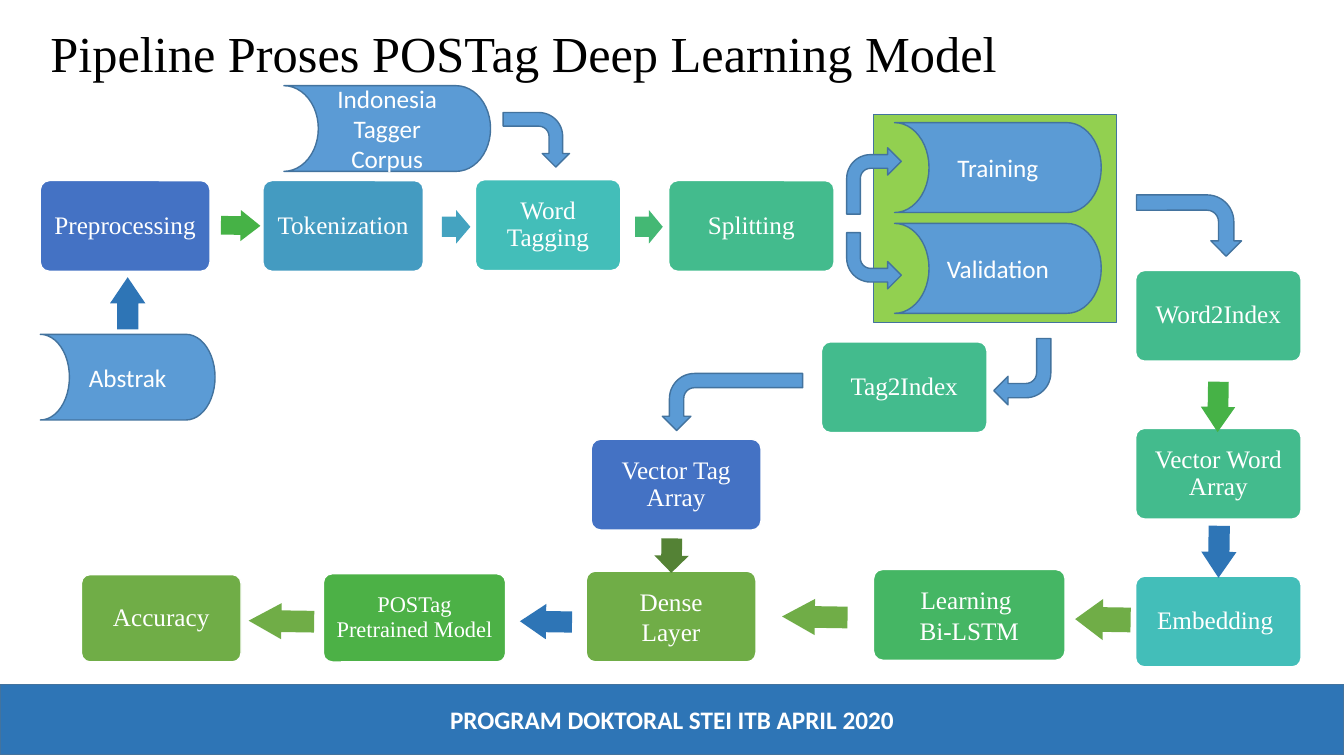
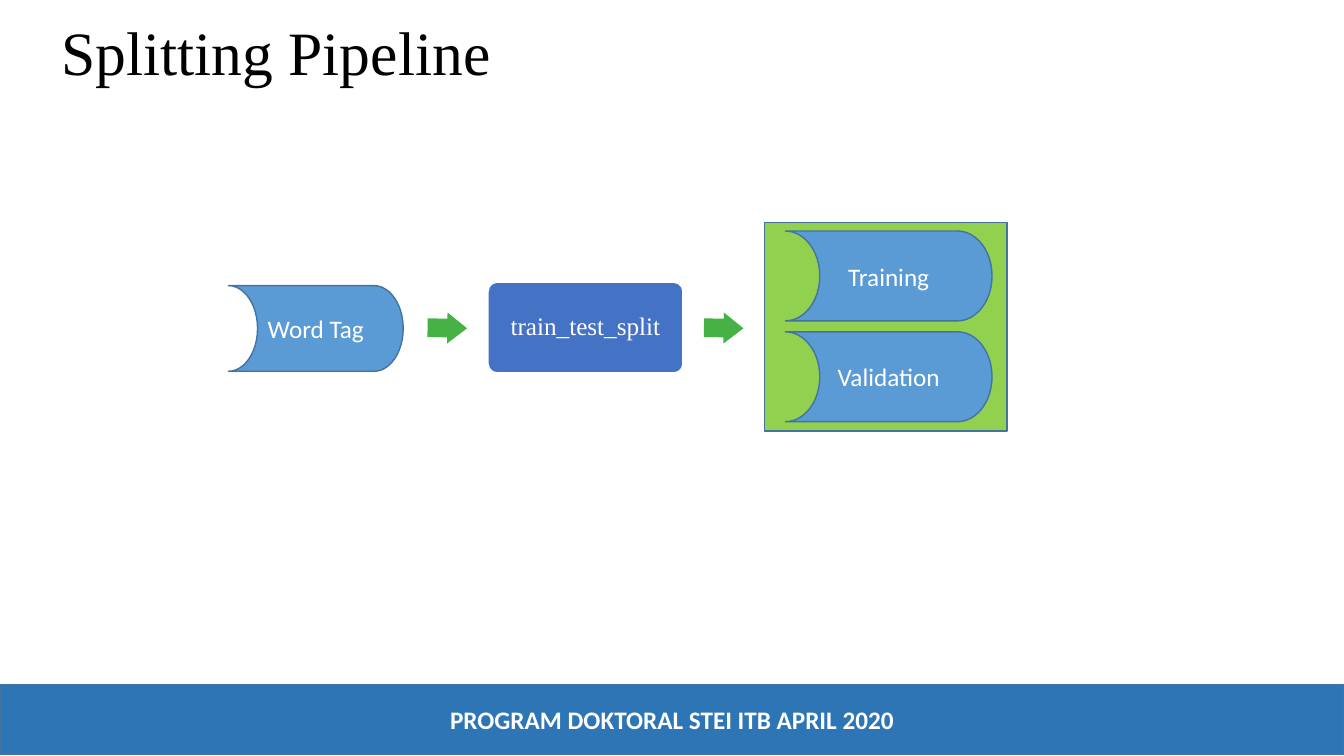
"""Build the two pipeline slides on a grid of 160 columns by 90 rows."""
import pptx
import pptx.util
import pptx.dml.color
import pptx.enum.shapes
import pptx.enum.text

KIND = pptx.enum.shapes.MSO_SHAPE
ALIGN = pptx.enum.text.PP_ALIGN
MID = pptx.enum.text.MSO_ANCHOR.MIDDLE
SERIF, SANS = "Times New Roman", "Calibri"
WHITE, EDGE, BLUE, SKY = "FFFFFF", "43739E", "2E75B6", "5B9BD5"
LIME, ROYAL, TEAL, MINT = "92D050", "4472C4", "43BEB9", "43BB8D"
GREEN, OLIVE = "46B246", "70AD47"

deck = pptx.Presentation()
cell = pptx.util.Inches(7.5) // 90
deck.slide_width, deck.slide_height = 160 * cell, 90 * cell


def tint(code):
    return pptx.dml.color.RGBColor.from_string(code)


def draw(page, kind, area, fill, edge=None, text="", face=SANS, size=18, bold=False, lead=1.0, pad=0.1):
    shape = page.shapes.add_shape(kind, *[round(part * cell) for part in area])
    shape.shadow.inherit = False
    shape.fill.solid()
    shape.fill.fore_color.rgb = tint(fill)
    if edge:
        shape.line.color.rgb = tint(edge)
        shape.line.width = pptx.util.Pt(1)
    else:
        shape.line.fill.background()
    if text:
        frame = shape.text_frame
        frame.text = text
        side = pptx.util.Inches(pad)
        form = {"word_wrap": True, "vertical_anchor": MID, "margin_left": side, "margin_right": side}
        for key, value in form.items():
            setattr(frame, key, value)
        for para in frame.paragraphs:
            para.alignment, para.line_spacing = ALIGN.CENTER, lead
            font = {"name": face, "size": pptx.util.Pt(size), "bold": bold}
            for key, value in font.items():
                setattr(para.font, key, value)
            para.font.color.rgb = tint(WHITE)
    return shape


pages = [
    {
        "title": ("Pipeline Proses POSTag Deep Learning Model", 36, (4.8, -0.1, 151.4, 13.6)),
        "panel": (104, 13.6),
        "stores": [
            ("Indonesia Tagger Corpus", 33.8, 10.2, 24.6),
            ("Abstrak", 4.8, 39.8, 20.8),
        ],
        "steps": [
            ("Preprocessing", 4.8, 21.5, 20.2, 10.8, ROYAL, 18, 0.9),
            ("Tokenization", 31.3, 21.5, 19.1, 10.8, "449BC1", 18, 0.9),
            ("Word Tagging", 56.6, 21.4, 17.3, 10.8, TEAL, 18, 0.9),
            ("Splitting", 79.6, 21.5, 19.7, 10.8, MINT, 18, 0.9),
            ("Tag2Index", 97.8, 40.7, 19.7, 10.8, MINT, 18, 0.9),
            ("Word2Index", 135.2, 32.2, 19.7, 10.8, MINT, 18, 0.9),
            ("Vector Word Array", 135.2, 51, 19.7, 10.8, MINT, 18, 0.9),
            ("Embedding ", 135.2, 68.6, 19.7, 10.8, TEAL, 18, 0.9),
            ("Learning \nBi-LSTM", 104, 67.8, 22.8, 10.8, "45B664", 18, 1.0),
            ("Vector Tag Array", 70.4, 52.3, 20.2, 10.8, ROYAL, 18, 0.9),
            ("Dense\nLayer", 69.8, 68, 20.2, 10.8, OLIVE, 18, 1.0),
            ("POSTag Pretrained Model", 38.5, 68.3, 21.7, 10.5, "4CB146", 16, 0.9),
            ("Accuracy", 9.7, 68.4, 19, 10.4, OLIVE, 18, 0.9),
        ],
        "arrows": [
            (26.3, 25, 4.7, 3.7, 0.9, GREEN),
            (52.6, 25, 3.4, 4, 0, "44A3C0"),
            (75.6, 25, 3.3, 4, 0, "44B874"),
            (12.1, 34, 6.2, 4.2, 270, BLUE),
            (142, 46.4, 6, 4.1, 90.9, GREEN),
            (142, 63.6, 6.2, 4.2, 90.9, BLUE),
            (77.9, 64.1, 4.1, 4.1, 90.9, "548235"),
            (128, 71.3, 6.6, 4.9, 180.9, OLIVE),
            (93.1, 71.3, 7.8, 4.3, 180.9, OLIVE),
            (61.9, 71.9, 6.2, 4.2, 180.9, BLUE),
            (29.6, 71.8, 7.8, 4.3, 180.9, OLIVE),
        ],
        "bends": [
            (60.6, 12.7, 6.5, 7.9, 90, False),
            (100.8, 17.6, 6.5, 7.9, 0, False),
            (100.8, 27.7, 6.5, 6.7, 0, True),
            (137.9, 20.6, 7.3, 12.5, 90, False),
            (118.3, 40.3, 6.8, 7.9, 180, False),
            (83.8, 39.5, 6.8, 16.7, 90, True),
        ],
    },
    {
        "title": ("Splitting Pipeline", 44, (6.1, 0, 138, 13.2)),
        "panel": (91, 26.5),
        "stores": [("Word Tag", 27.2, 34, 20.8)],
        "steps": [("train_test_split", 58.1, 33.6, 23.2, 10.8, ROYAL, 18, 0.9)],
        "arrows": [(left, 37.2, 4.7, 3.7, 0.9, GREEN) for left in (50.9, 83.8)],
        "bends": [],
    },
]

for plan in pages:
    page = deck.slides.add_slide(deck.slide_layouts[5])
    text, size, area = plan["title"]
    head = page.shapes.title
    for key, part in zip(("left", "top", "width", "height"), area):
        setattr(head, key, round(part * cell))
    head.text_frame.text = text
    form = {"word_wrap": True, "vertical_anchor": MID, "auto_size": pptx.enum.text.MSO_AUTO_SIZE.NONE}
    for key, value in form.items():
        setattr(head.text_frame, key, value)
    para = head.text_frame.paragraphs[0]
    para.alignment, para.line_spacing = ALIGN.LEFT, 0.9
    para.font.name, para.font.size = SERIF, pptx.util.Pt(size)
    para.font.color.rgb = tint("000000")

    draw(page, KIND.RECTANGLE, (0, 81.5, 160, 8.3), BLUE, EDGE,
         "PROGRAM DOKTORAL STEI ITB APRIL 2020", bold=True)

    left, top = plan["panel"]
    draw(page, KIND.RECTANGLE, (left, top, 28.9, 24.8), LIME, EDGE)
    stores = [(*store, 10.2) for store in plan["stores"]]
    for row, text in enumerate(("Training", "Validation")):
        stores.append((text, left + 2.5, top + 1 + 12 * row, 24.6, 10.7))
    for text, *area in stores:
        store = draw(page, KIND.FLOWCHART_STORED_DATA, area, SKY, EDGE, text)
        store.element.spPr.get_or_add_xfrm().set("flipH", "1")

    for text, *area, fill, size, lead in plan["steps"]:
        step = draw(page, KIND.ROUNDED_RECTANGLE, area, fill, WHITE, text, SERIF, size, lead=lead, pad=0.07)
        step.adjustments[0] = 0.1

    for *area, turn, fill in plan["arrows"]:
        arrow = draw(page, KIND.RIGHT_ARROW, area, fill)
        arrow.rotation = turn
        arrow.adjustments[0] = 0.6
        arrow.adjustments[1] = area[2] / 2 / min(area[2:])

    for *area, turn, flip in plan["bends"]:
        bend = draw(page, KIND.BENT_ARROW, area, SKY, EDGE)
        bend.rotation = turn
        if flip:
            bend.element.spPr.get_or_add_xfrm().set("flipV", "1")

deck.save("out.pptx")
